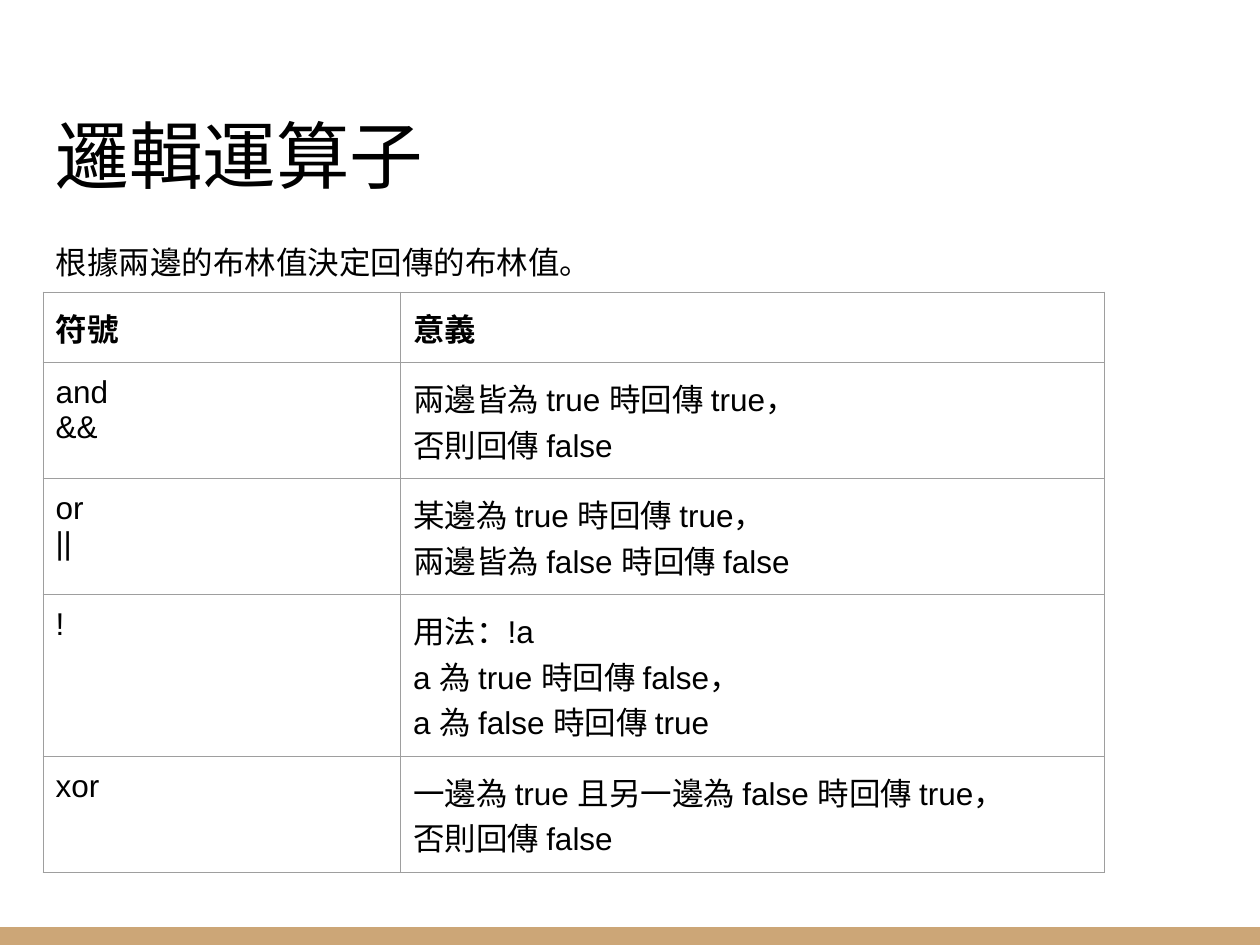
from lxml import etree
from pptx import Presentation
from pptx import util as u
from pptx.dml import color
from pptx.enum import shapes, text
from pptx.oxml import ns

COLORS = {"text": "000000", "bar": "CCA677", "border": "9E9E9E", "background": "FFFFFF"}
INSET = u.Cm(0.25)


def write_paragraph(paragraph, words, font_name, size, bold=False, east_asian_name=None):
    paragraph.alignment = text.PP_ALIGN.LEFT
    paragraph.space_before = u.Pt(0)
    run = paragraph.add_run()
    run.text = words
    run.font.name = font_name
    run.font.size = u.Pt(size)
    run.font.bold = bold
    run.font.color.rgb = color.RGBColor.from_string(COLORS["text"])
    if east_asian_name:
        east_asian = etree.SubElement(run.font._element, ns.qn("a:ea"))
        east_asian.set("typeface", east_asian_name)


def set_borders(cell):
    properties = cell._tc.get_or_add_tcPr()
    for position, side in enumerate(("lnL", "lnR", "lnT", "lnB")):
        line = etree.Element(ns.qn(f"a:{side}"), w=str(u.Pt(0.75)))
        fill = etree.SubElement(line, ns.qn("a:solidFill"))
        etree.SubElement(fill, ns.qn("a:srgbClr"), val=COLORS["border"])
        properties.insert(position, line)


presentation = Presentation()
presentation.slide_width = u.Cm(25.4)
presentation.slide_height = u.Cm(19.05)
slide = presentation.slides.add_slide(presentation.slide_layouts[1])
slide.background.fill.solid()
slide.background.fill.fore_color.rgb = color.RGBColor.from_string(COLORS["background"])

bar = slide.shapes.add_shape(
    shapes.MSO_SHAPE.RECTANGLE, u.Cm(0), u.Cm(18.69), u.Cm(25.4), u.Cm(0.36)
)
bar.shadow.inherit = False
bar.fill.solid()
bar.fill.fore_color.rgb = color.RGBColor.from_string(COLORS["bar"])
bar.line.fill.background()

title = slide.shapes.title
body = slide.placeholders[1]
for shape, top, height, anchor in (
    (title, 1.17, 3.07, text.MSO_ANCHOR.BOTTOM),
    (body, 4.53, 1.37, text.MSO_ANCHOR.TOP),
):
    shape.left, shape.top = u.Cm(0.87), u.Cm(top)
    shape.width, shape.height = u.Cm(23.67), u.Cm(height)
    frame = shape.text_frame
    frame.auto_size = text.MSO_AUTO_SIZE.NONE
    frame.word_wrap = True
    frame.vertical_anchor = anchor
    frame.margin_left = frame.margin_right = INSET
    frame.margin_top = frame.margin_bottom = INSET

write_paragraph(
    title.text_frame.paragraphs[0], "邏輯運算子", "Lato", 42, east_asian_name="Lato"
)

description = body.text_frame.paragraphs[0]
description_properties = description._p.get_or_add_pPr()
description_properties.set("marL", "0")
description_properties.set("indent", "0")
etree.SubElement(description_properties, ns.qn("a:buNone"))
description.line_spacing = 1.15
description.space_after = u.Pt(16)
write_paragraph(
    description, "根據兩邊的布林值決定回傳的布林值。", "Open Sans", 18,
    east_asian_name="Open Sans",
)

operators = [
    (["符號"], ["意義"]),
    (["and", "&&"], ["兩邊皆為 true 時回傳 true，", "否則回傳 false"]),
    (["or", "||"], ["某邊為 true 時回傳 true，", "兩邊皆為 false 時回傳 false"]),
    (["!"], ["用法：!a", "a 為 true 時回傳 false，", "a 為 false 時回傳 true"]),
    (["xor"], ["一邊為 true 且另一邊為 false 時回傳 true，", "否則回傳 false"]),
]
column_widths = [7.21, 14.18]
row_height = 1.07
table = slide.shapes.add_table(
    len(operators), len(column_widths), u.Cm(0.87), u.Cm(5.89),
    u.Cm(sum(column_widths)), u.Cm(row_height * len(operators)),
).table
table.first_row = False
table.horz_banding = False
for column, width in zip(table.columns, column_widths):
    column.width = u.Cm(width)

for row_index, operator in enumerate(operators):
    table.rows[row_index].height = u.Cm(row_height)
    for column_index, lines in enumerate(operator):
        cell = table.cell(row_index, column_index)
        cell.fill.background()
        cell.margin_left = cell.margin_right = INSET
        cell.margin_top = cell.margin_bottom = INSET
        set_borders(cell)
        for line_index, words in enumerate(lines):
            frame = cell.text_frame
            paragraph = frame.add_paragraph() if line_index else frame.paragraphs[0]
            write_paragraph(paragraph, words, "Arial", 18, bold=row_index == 0)

presentation.save("out.pptx")
